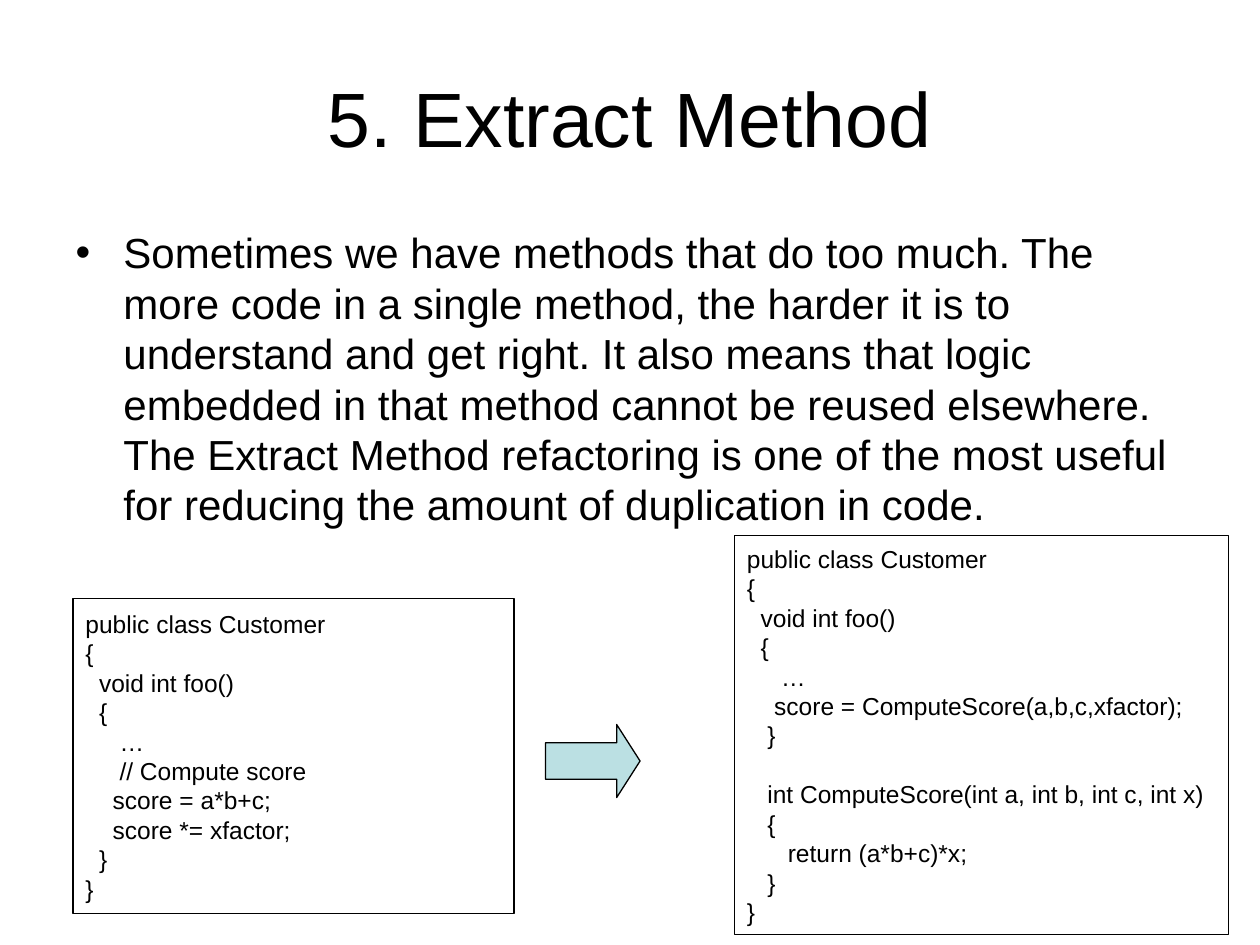
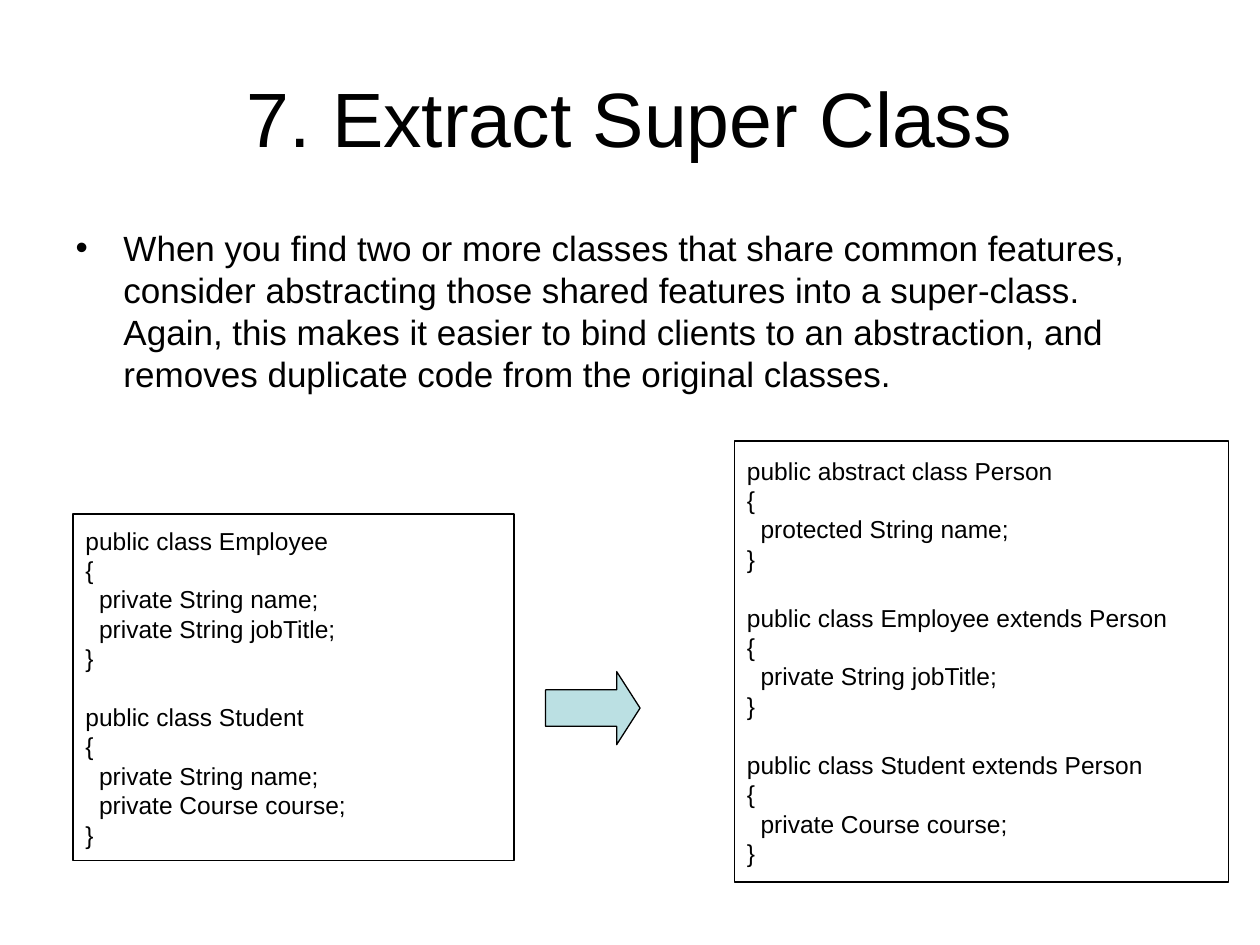
from pptx import Presentation
from pptx.dml.color import RGBColor
from pptx.enum.shapes import MSO_SHAPE
from pptx.enum.text import MSO_ANCHOR, MSO_AUTO_SIZE, PP_ALIGN
from pptx.util import Inches, Pt

# Content: code boxes carry (top, height, source)
SLIDES = [
    {
        "title": "5. Extract Method",
        "body": "Sometimes we have methods that do too much. The more code in a "
                "single method, the harder it is to understand and get right. It "
                "also means that logic embedded in that method cannot be reused "
                "elsewhere. The Extract Method refactoring is one of the most "
                "useful for reducing the amount of duplication in code.",
        "body_size": 24,
        "before": (4.75, 2.5, """\
public class Customer
{
  void int foo()
  {
     …
     // Compute score
    score = a*b+c;
    score *= xfactor;
  }
}"""),
        "arrow_top": 5.75,
        "after": (4.25, 3.17, """\
public class Customer
{
  void int foo()
  {
     …
    score = ComputeScore(a,b,c,xfactor);
   }

   int ComputeScore(int a, int b, int c, int x)
   {
      return (a*b+c)*x;
   }
}"""),
    },
    {
        "title": "7. Extract Super Class",
        "body": "When you find two or more classes that share common features, "
                "consider abstracting those shared features into a super-class. "
                "Again, this makes it easier to bind clients to an abstraction, "
                "and removes duplicate code from the original classes.",
        "body_size": 20,
        "before": (4.08, 2.75, """\
public class Employee
{
  private String name;
  private String jobTitle;
}

public class Student
{
  private String name;
  private Course course;
}"""),
        "arrow_top": 5.33,
        "after": (3.5, 3.5, """\
public abstract class Person
{
  protected String name;
}

public class Employee extends Person
{
  private String jobTitle;
}

public class Student extends Person
{
  private Course course;
}"""),
    },
]

# Shared style
BLACK = RGBColor(0x00, 0x00, 0x00)
ARROW_FILL = RGBColor(0xBB, 0xE0, 0xE3)
FONT = "Arial"
CODE_SIZE = 14
CODE_LINE = Pt(CODE_SIZE * 1.2)
SPACE_WIDTH = CODE_SIZE * 0.278  # points per leading space
BEFORE_X, BEFORE_W = 0.58, 3.5
AFTER_X, AFTER_W = 5.83, 3.92
ARROW_X, ARROW_W, ARROW_H = 4.33, 0.75, 0.58


def style(p, size, align=PP_ALIGN.LEFT):
    p.font.name = FONT
    p.font.size = Pt(size)
    p.font.color.rgb = BLACK
    p.alignment = align


def indent(p, left, first=0):
    pPr = p._p.get_or_add_pPr()
    pPr.set("marL", str(int(left)))
    pPr.set("indent", str(int(first)))


def fill_placeholder(sp, top, height, text, size, align=PP_ALIGN.LEFT):
    sp.left, sp.top = Inches(0.5), Inches(top)
    sp.width, sp.height = Inches(9), Inches(height)
    tf = sp.text_frame
    tf.text = text
    tf.auto_size = MSO_AUTO_SIZE.NONE
    p = tf.paragraphs[0]
    style(p, size, align)
    return p


def add_outlined(s, kind, x, y, w, h):
    sp = s.shapes.add_shape(kind, Inches(x), Inches(y), Inches(w), Inches(h))
    sp.shadow.inherit = False
    sp.line.color.rgb = BLACK
    sp.line.width = Pt(0.75)
    return sp


def add_code(s, x, w, box):
    top, height, source = box
    sp = add_outlined(s, MSO_SHAPE.RECTANGLE, x, top, w, height)
    sp.fill.background()
    tf = sp.text_frame
    tf.word_wrap = True
    tf.vertical_anchor = MSO_ANCHOR.MIDDLE
    p, gap = tf.paragraphs[0], False
    for i, line in enumerate(source.splitlines()):
        code = line.lstrip()
        if not code:
            gap = True
            continue
        if i:
            p = tf.add_paragraph()
        p.text = code
        style(p, CODE_SIZE)
        indent(p, Pt((len(line) - len(code)) * SPACE_WIDTH))
        if gap:
            p.space_before = CODE_LINE
            gap = False


def add_arrow(s, top):
    sp = add_outlined(s, MSO_SHAPE.RIGHT_ARROW, ARROW_X, top, ARROW_W, ARROW_H)
    sp.fill.solid()
    sp.fill.fore_color.rgb = ARROW_FILL
    sp.adjustments[0] = 0.5
    sp.adjustments[1] = 0.32


def add_refactoring(prs, item):
    s = prs.slides.add_slide(prs.slide_layouts[1])

    # Title and explanation
    fill_placeholder(s.shapes.title, 0.3, 1.25, item["title"], 44, PP_ALIGN.CENTER)
    p = fill_placeholder(s.placeholders[1], 1.75, 4.95, item["body"], item["body_size"])
    indent(p, Inches(0.38), Inches(-0.38))
    p.space_before = Pt(item["body_size"] // 4)

    # Code before, arrow, code after
    add_code(s, BEFORE_X, BEFORE_W, item["before"])
    add_arrow(s, item["arrow_top"])
    add_code(s, AFTER_X, AFTER_W, item["after"])


def main():
    prs = Presentation()
    prs.slide_width, prs.slide_height = Inches(10), Inches(7.5)
    for item in SLIDES:
        add_refactoring(prs, item)
    prs.save("out.pptx")


if __name__ == "__main__":
    main()
